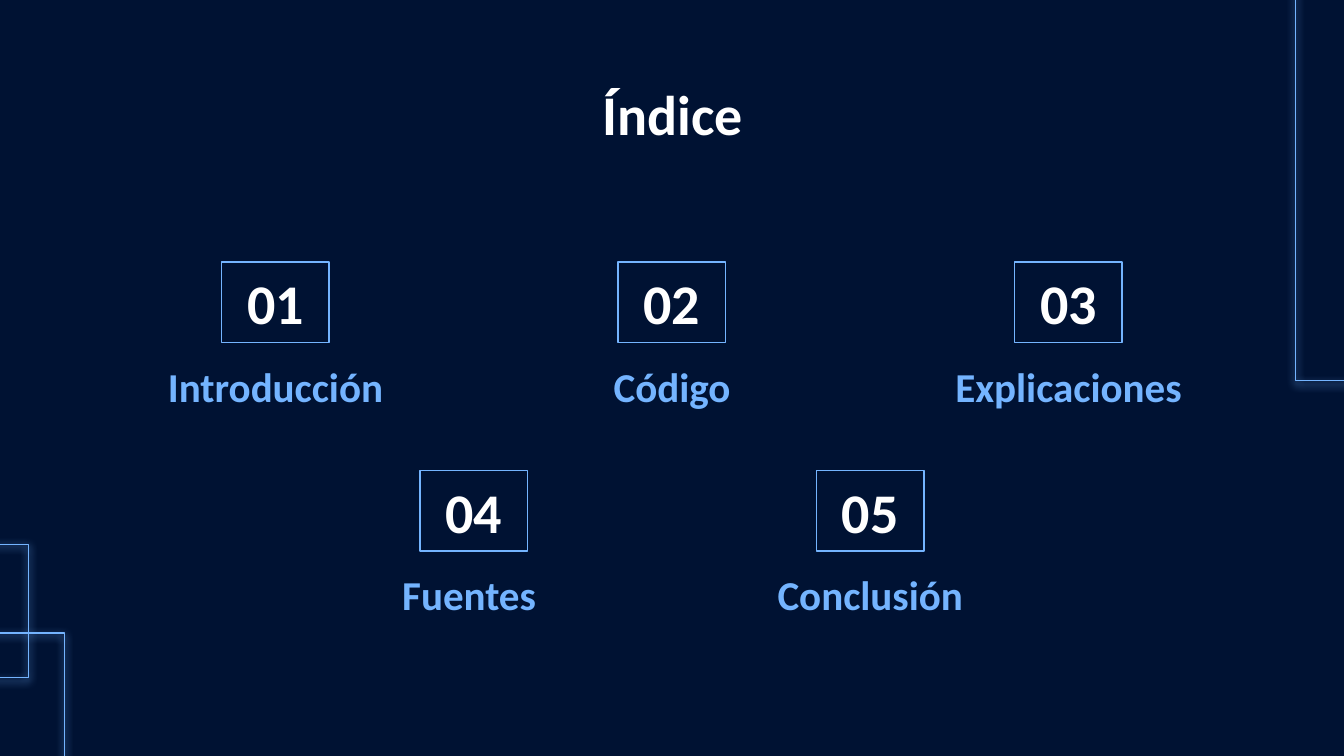
from lxml.etree import SubElement
from pptx import Presentation
from pptx.dml.color import RGBColor
from pptx.enum.shapes import MSO_SHAPE as Shape
from pptx.enum.text import MSO_ANCHOR as Anchor, PP_ALIGN as Align
from pptx.oxml.ns import qn
from pptx.util import Inches, Pt

NAVY = RGBColor(0x00, 0x12, 0x33)
SKY = RGBColor(0x74, 0xB4, 0xFF)
WHITE = RGBColor(0xFF, 0xFF, 0xFF)

FONT = "Calibri"
SLIDE_WIDTH = 10
SLIDE_HEIGHT = SLIDE_WIDTH * 9 / 16
COLUMN_PITCH = 2.95
NUMBER_WIDTH, LABEL_WIDTH, ROW_HEIGHT = 0.8, 2.52, 0.6
LABEL_OFFSET = 0.64
TOPIC_ROWS = [
    (1.95, ["Introducción", "Código", "Explicaciones"]),
    (3.5, ["Fuentes ", "Conclusión"]),
]
CORNER_FRAMES = [
    (-0.09, 4.71, 0.57, 0.99),
    (9.64, -0.34, 0.47, 3.17),
    (-0.36, 4.05, 0.57, 0.99),
]


def write_text(shape, text, size, color, anchor=Anchor.TOP):
    frame = shape.text_frame
    frame.word_wrap = True
    frame.vertical_anchor = anchor
    frame.margin_left = frame.margin_right = Inches(0.1)
    frame.margin_top = frame.margin_bottom = Inches(0.1)
    para = frame.paragraphs[0]
    para.text = text
    para.alignment = Align.CENTER
    para.font.name = FONT
    para.font.size = Pt(size)
    para.font.bold = True
    para.font.color.rgb = color


def add_outline(slide, left, top, width, height):
    box = slide.shapes.add_shape(
        Shape.RECTANGLE, Inches(left), Inches(top), Inches(width), Inches(height))
    box.shadow.inherit = False
    box.fill.background()
    box.line.color.rgb = SKY
    box.line.width = Pt(0.75)
    return box


def add_glow(shape):
    """Give the shape a soft sky-blue shadow just below it."""
    effects = shape._element.spPr.find(qn("a:effectLst"))
    shadow = SubElement(effects, qn("a:outerShdw"), blurRad=str(Pt(4.5)),
                        dist=str(Pt(1.5)), dir="5400000", algn="bl", rotWithShape="0")
    SubElement(shadow, qn("a:srgbClr"), val=str(SKY))


def add_title(slide, text):
    title = slide.shapes.title
    title.left, title.top = Inches(0.79), Inches(0.49)
    title.width, title.height = Inches(8.43), Inches(0.63)
    write_text(title, text, 30, WHITE)


def add_topic(slide, number, label, center, top):
    number_box = add_outline(slide, center - NUMBER_WIDTH / 2, top, NUMBER_WIDTH, ROW_HEIGHT)
    write_text(number_box, f"{number:02d}", 30, WHITE, Anchor.MIDDLE)
    label_box = slide.shapes.add_textbox(
        Inches(center - LABEL_WIDTH / 2), Inches(top + LABEL_OFFSET),
        Inches(LABEL_WIDTH), Inches(ROW_HEIGHT))
    write_text(label_box, label, 22, SKY)


def add_topics(slide):
    """Number the topics row by row, each row centred on the slide."""
    number = 1
    for top, labels in TOPIC_ROWS:
        first_center = SLIDE_WIDTH / 2 - COLUMN_PITCH * (len(labels) - 1) / 2
        for column, label in enumerate(labels):
            add_topic(slide, number, label, first_center + column * COLUMN_PITCH, top)
            number += 1


def main():
    deck = Presentation()
    deck.slide_width, deck.slide_height = Inches(SLIDE_WIDTH), Inches(SLIDE_HEIGHT)
    slide = deck.slides.add_slide(deck.slide_layouts[5])
    slide.background.fill.solid()
    slide.background.fill.fore_color.rgb = NAVY
    for frame in CORNER_FRAMES:
        add_glow(add_outline(slide, *frame))
    add_title(slide, "Índice")
    add_topics(slide)
    deck.save("out.pptx")


if __name__ == "__main__":
    main()
